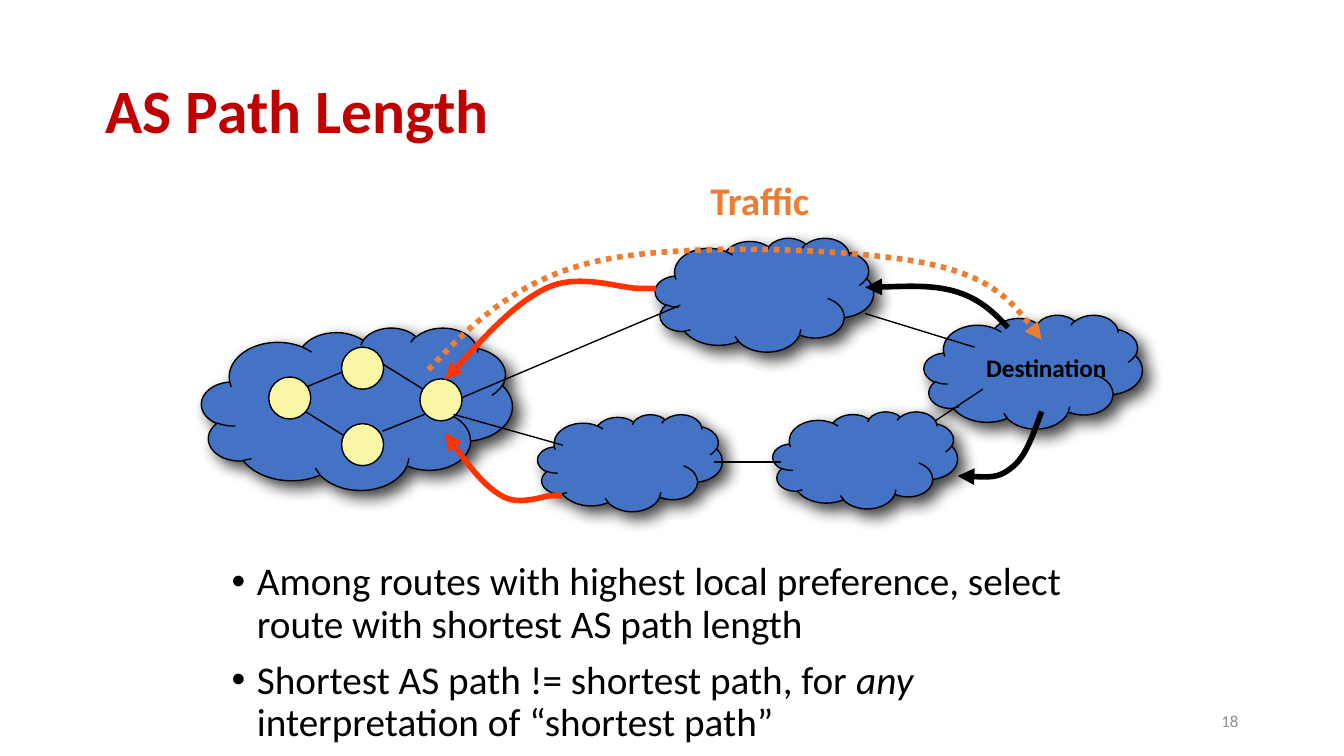
import pptx
import pptx.util
import pptx.dml.color
import pptx.enum.dml
import pptx.enum.shapes
import pptx.enum.text
import pptx.oxml
import pptx.oxml.ns

Pt = pptx.util.Pt
KIND = pptx.enum.shapes.MSO_SHAPE
ALIGN = pptx.enum.text.PP_ALIGN
ANCHOR = pptx.enum.text.MSO_ANCHOR
NS = pptx.oxml.ns.nsdecls("a")
qn = pptx.oxml.ns.qn

BLACK, RED, ORANGE = "000000", "FF3300", "ED7D31"
BLUE, YELLOW = "4472C4", "F9F7A5"
NODE = 22.5


def color(text):
    return pptx.dml.color.RGBColor.from_string(text)


def xml(body):
    return pptx.oxml.parse_xml(body)


def stroke(line, hue=BLACK, width=0.75):
    line.color.rgb = color(hue)
    line.width = Pt(width)


def solid(slide, kind, box, hue):
    shape = slide.shapes.add_shape(kind, *map(Pt, box))
    shape.shadow.inherit = False
    shape.fill.solid()
    shape.fill.fore_color.rgb = color(hue)
    stroke(shape.line)
    return shape


def cloud(slide, *box):
    """Blue cloud with a soft shadow to the lower right."""
    shape = solid(slide, KIND.CLOUD, box, BLUE)
    glow = shape._element.spPr.find(qn("a:effectLst"))
    glow.append(xml(
        f'<a:outerShdw {NS} blurRad="{Pt(8.5)}" dist="{Pt(5)}" dir="2700000" '
        'algn="ctr" rotWithShape="0"><a:srgbClr val="000000">'
        '<a:alpha val="75000"/></a:srgbClr></a:outerShdw>'))


def link(slide, x1, y1, x2, y2):
    kind = pptx.enum.shapes.MSO_CONNECTOR.STRAIGHT
    line = slide.shapes.add_connector(kind, *map(Pt, (x1, y1, x2, y2)))
    stroke(line.line)
    line._element.spPr.append(xml(f"<a:effectLst {NS}/>"))


def curve(slide, hue, points, dash=None):
    """Arrow along cubic curves: a start, then three points per curve."""
    start, *rest = [(Pt(x), Pt(y)) for x, y in points]
    pen = slide.shapes.build_freeform(*start)
    pen.add_line_segments(rest, close=False)
    shape = pen.convert_to_shape()
    shape.shadow.inherit = False
    shape.fill.background()
    stroke(shape.line, hue, 3)
    if dash:
        shape.line.dash_style = dash
    steps = list(shape._element.iter(qn("a:lnTo")))
    for i in range(0, len(steps), 3):
        bend = xml(f"<a:cubicBezTo {NS}/>")
        steps[i].addprevious(bend)
        for step in steps[i:i + 3]:
            bend.append(step[0])
            step.getparent().remove(step)
    shape.line._get_or_add_ln().append(xml(f'<a:tailEnd {NS} type="triangle"/>'))


def style(part, size, hue, bold=False):
    for run in part.runs:
        font = run.font
        font.name, font.size, font.bold = "Calibri", Pt(size), bold
        font.color.rgb = color(hue)


def label(slide, box, text, size, hue, bold=False, wrap=True,
          align=ALIGN.LEFT, anchor=ANCHOR.TOP):
    frame = slide.shapes.add_textbox(*map(Pt, box)).text_frame
    frame.word_wrap = wrap
    frame.vertical_anchor = anchor
    frame.text = text
    part = frame.paragraphs[0]
    part.alignment = align
    style(part, size, hue, bold)
    return part


def bullets(slide, box, items):
    """Each item is a list of runs; every second run is italic."""
    frame = slide.shapes.add_textbox(*map(Pt, box)).text_frame
    frame.word_wrap = True
    for i, item in enumerate(items):
        part = frame.add_paragraph() if i else frame.paragraphs[0]
        for j, text in enumerate(item):
            run = part.add_run()
            run.text = text
            run.font.italic = j % 2 == 1
        style(part, 21, BLACK)
        part.line_spacing = 0.9
        part.space_before = Pt(7.5)
        props = part._p.get_or_add_pPr()
        props.set("marL", str(Pt(13.5)))
        props.set("indent", str(-Pt(13.5)))
        props.append(xml(f'<a:buFont {NS} typeface="Arial"/>'))
        props.append(xml(f'<a:buChar {NS} char="•"/>'))


def main():
    deck = pptx.Presentation()
    deck.slide_width, deck.slide_height = Pt(720), Pt(405)
    slide = deck.slides.add_slide(deck.slide_layouts[6])

    title = label(slide, (49.5, 21.6, 621, 78.3), "AS Path Length", 33,
                  "C00000", bold=True, anchor=ANCHOR.MIDDLE)
    title.line_spacing = 0.9
    bullets(slide, (117, 297.5, 486, 109.5), [
        ["Among routes with highest local preference, select route with "
         "shortest AS path length"],
        ["Shortest AS path != shortest path, for ", "any",
         " interpretation of “shortest path”"]])
    label(slide, (508.5, 375.4, 162, 21.6), "18", 9, "8C8C8C",
          align=ALIGN.RIGHT, anchor=ANCHOR.MIDDLE)

    cloud(slide, 495, 168.75, 117, 61)
    cloud(slide, 108, 175.5, 166.5, 87)
    cloud(slide, 351, 127.5, 117, 61)
    cloud(slide, 288, 222, 99, 52)

    for ends in [(160, 209, 183, 199.5), (205, 231, 227.5, 222),
                 (162, 219.5, 184.5, 233.5), (205, 195, 227.5, 209)]:
        link(slide, *ends)
    for x, y in [(183, 186), (183, 227), (225, 203), (144, 202)]:
        solid(slide, KIND.OVAL, (x, y, NODE, NODE), YELLOW)
    for ends in [(247.5, 213, 364.5, 163.5), (243, 222, 301.5, 238.5),
                 (463.5, 168, 522, 186), (472.5, 244.5, 526.5, 208.5)]:
        link(slide, *ends)

    curve(slide, RED, [
        (351.5, 154.5), (351.5, 154.5), (352, 154.5), (342, 154.5),
        (332, 154.5), (310, 146), (292.5, 154.5),
        (275, 163), (257, 183.5), (238.5, 203.5)])
    curve(slide, RED, [
        (301, 265.5), (301, 265.5), (301.5, 265.5), (296, 265.5),
        (291, 265.5), (278, 271.5), (268.5, 265.5),
        (259, 260), (248.5, 246), (238.5, 232)])
    label(slide, (521.25, 185.25, 88.5, 23.5), "Destination", 13.5, BLACK,
          bold=True, wrap=False)
    curve(slide, BLACK, [
        (540, 175.5), (533, 168), (525.5, 160.5), (513, 156.5),
        (500.5, 152.5), (481.5, 153.5), (463.5, 154)])
    cloud(slide, 414, 220.5, 99, 52)
    link(slide, 382.5, 247.5, 418.5, 247.5)
    curve(slide, BLACK, [
        (558, 220.5), (553.5, 232.5), (549.5, 245), (542, 250.5),
        (535, 256.5), (524, 255.5), (513, 255)])
    curve(slide, ORANGE, [
        (229.5, 198), (252.5, 174), (276, 150), (319.5, 140),
        (363, 130), (450.5, 133), (490.5, 140),
        (530, 147), (544.5, 164), (558, 182)],
        pptx.enum.dml.MSO_LINE.ROUND_DOT)
    label(slide, (373.5, 90.75, 76.5, 58.5), "Traffic", 21, ORANGE, bold=True)

    deck.save("out.pptx")


if __name__ == "__main__":
    main()
